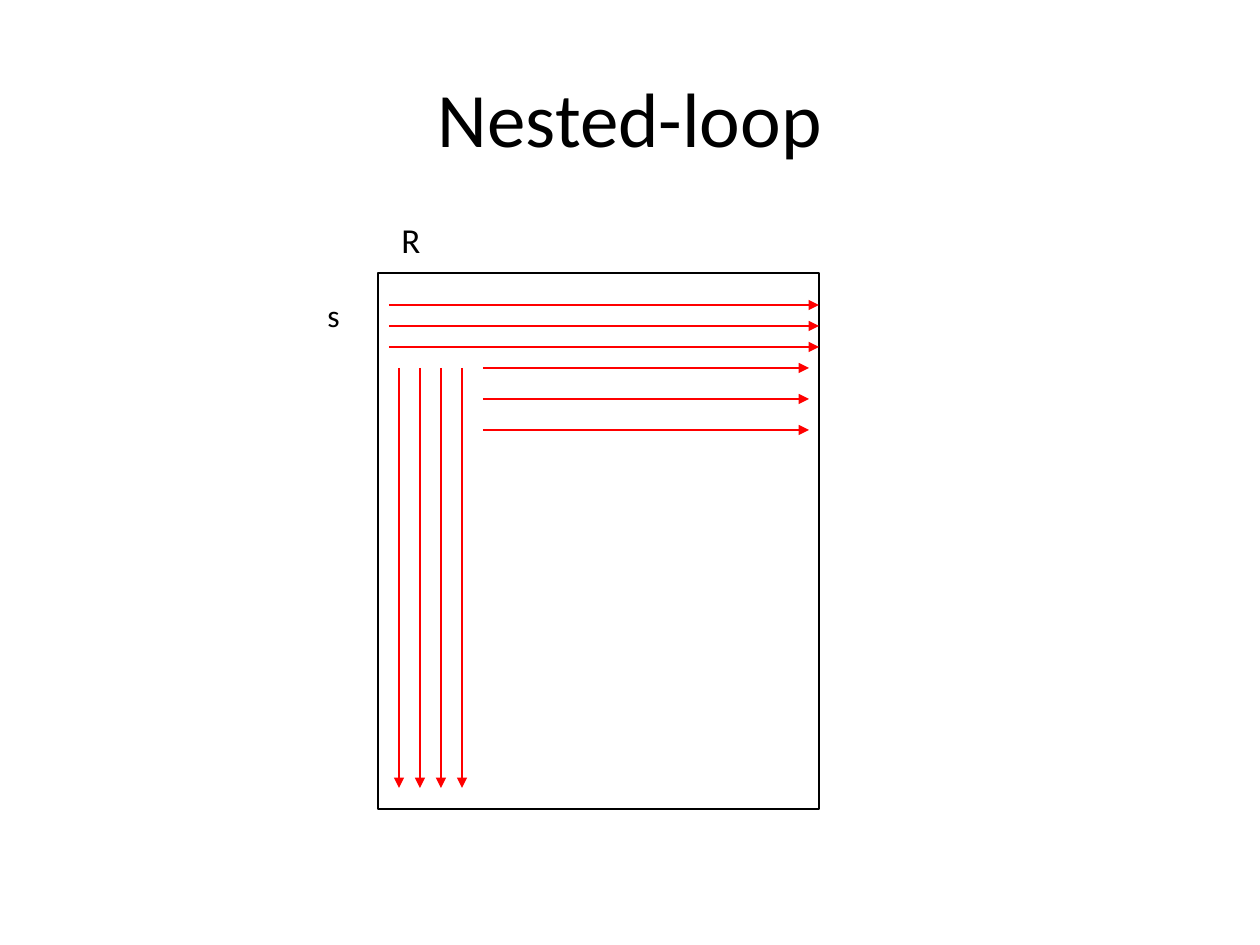
"""Build the nested-loop slide: a join rectangle scanned by groups of arrows."""
from lxml import etree
from pptx import Presentation
from pptx.dml.color import RGBColor
from pptx.enum.shapes import MSO_CONNECTOR, MSO_SHAPE
from pptx.enum.text import MSO_ANCHOR, MSO_AUTO_SIZE, PP_ALIGN
from pptx.oxml.ns import qn
from pptx.util import Emu, Pt

PX = 914400 // 126
BLACK = RGBColor(0, 0, 0)
RED = RGBColor(255, 0, 0)
RECTANGLE = MSO_SHAPE.RECTANGLE
STRAIGHT = MSO_CONNECTOR.STRAIGHT
MIDDLE, TOP = MSO_ANCHOR.MIDDLE, MSO_ANCHOR.TOP
NO_RESIZE, FIT_SHAPE = MSO_AUTO_SIZE.NONE, MSO_AUTO_SIZE.SHAPE_TO_FIT_TEXT
CENTER, LEFT = PP_ALIGN.CENTER, PP_ALIGN.LEFT


def px(*lengths):
    return [Emu(length * PX) for length in lengths]


def set_all(target, values):
    for name, value in values.items():
        setattr(target, name, value)


presentation = Presentation()
presentation.slide_width, presentation.slide_height = px(1260, 945)
slide = presentation.slides.add_slide(presentation.slide_layouts[6])

title_frame = {"word_wrap": True, "auto_size": NO_RESIZE, "vertical_anchor": MIDDLE}
label_frame = {"word_wrap": False, "auto_size": FIT_SHAPE, "vertical_anchor": TOP}
texts = [
    ("Nested-loop", (63, 38, 1134, 157), 44, CENTER, title_frame),
    ("R", (389, 212, 44, 55), 20, LEFT, label_frame),
    ("s", (315, 290, 38, 50), 18, LEFT, label_frame),
]
for text, box, size, alignment, frame_format in texts:
    shape = slide.shapes.add_textbox(*px(*box))
    set_all(shape.text_frame, frame_format)
    paragraph = shape.text_frame.paragraphs[0]
    set_all(paragraph, {"text": text, "alignment": alignment})
    set_all(paragraph.font, {"name": "Calibri", "size": Pt(size)})
    paragraph.font.color.rgb = BLACK

join_area = slide.shapes.add_shape(RECTANGLE, *px(378, 273, 441, 536))
join_area.shadow.inherit = False
join_area.fill.background()
join_area.line.color.rgb = BLACK
join_area.line.width = Pt(0.75)

arrow_groups = [
    [(389, y, 819, y) for y in range(305, 348, 21)],
    [(x, 368, x, 788) for x in range(399, 463, 21)],
    [(483, y, 809, y) for y in range(368, 431, 31)],
]
for arrows in arrow_groups:
    group = slide.shapes.add_group_shape()
    for ends in arrows:
        arrow = group.shapes.add_connector(STRAIGHT, *px(*ends))
        arrow.line.color.rgb = RED
        arrow.line.width = Pt(0.75)
        etree.SubElement(arrow.line._ln, qn("a:tailEnd"), type="triangle")
        etree.SubElement(arrow._element.spPr, qn("a:effectLst"))

presentation.save("out.pptx")
